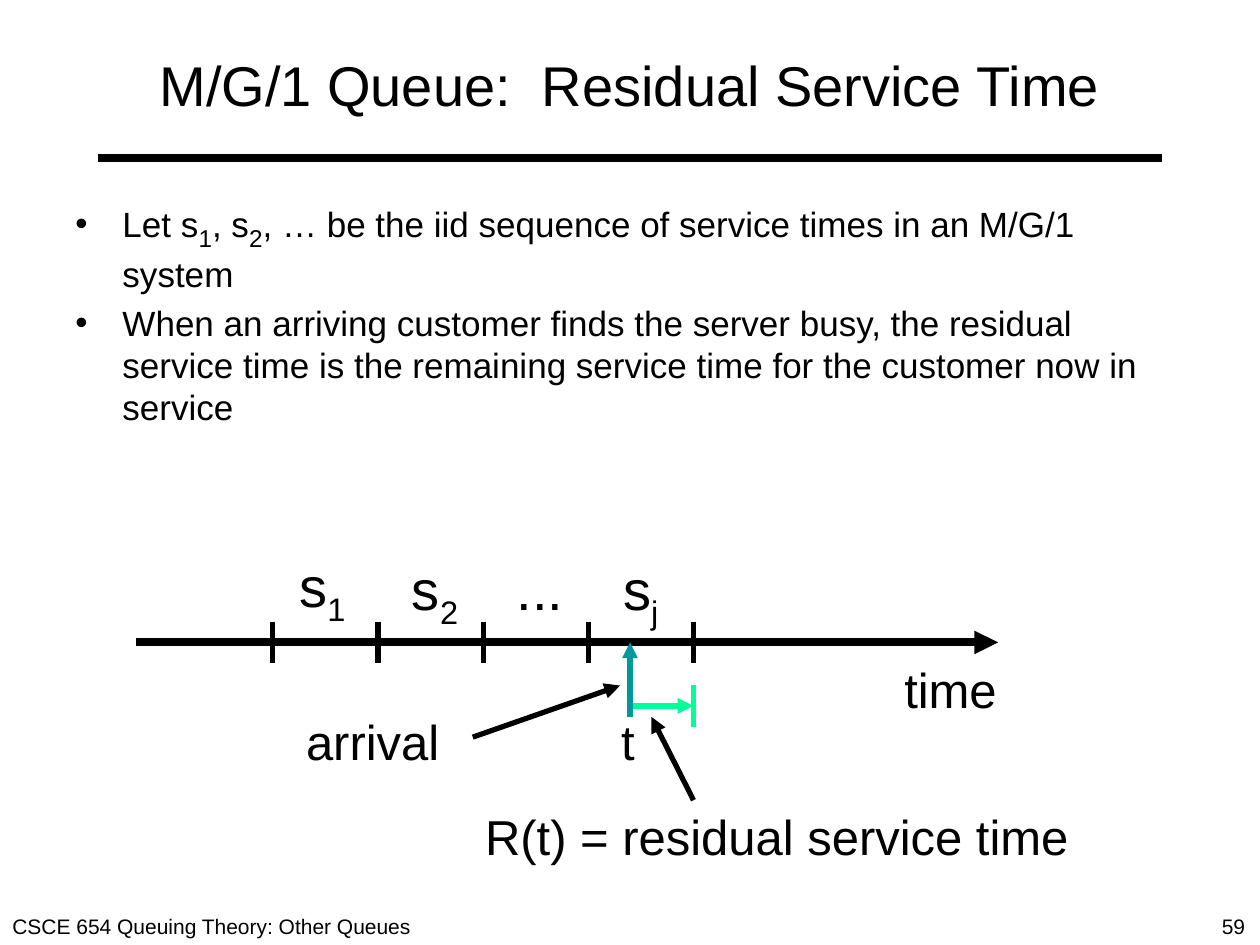
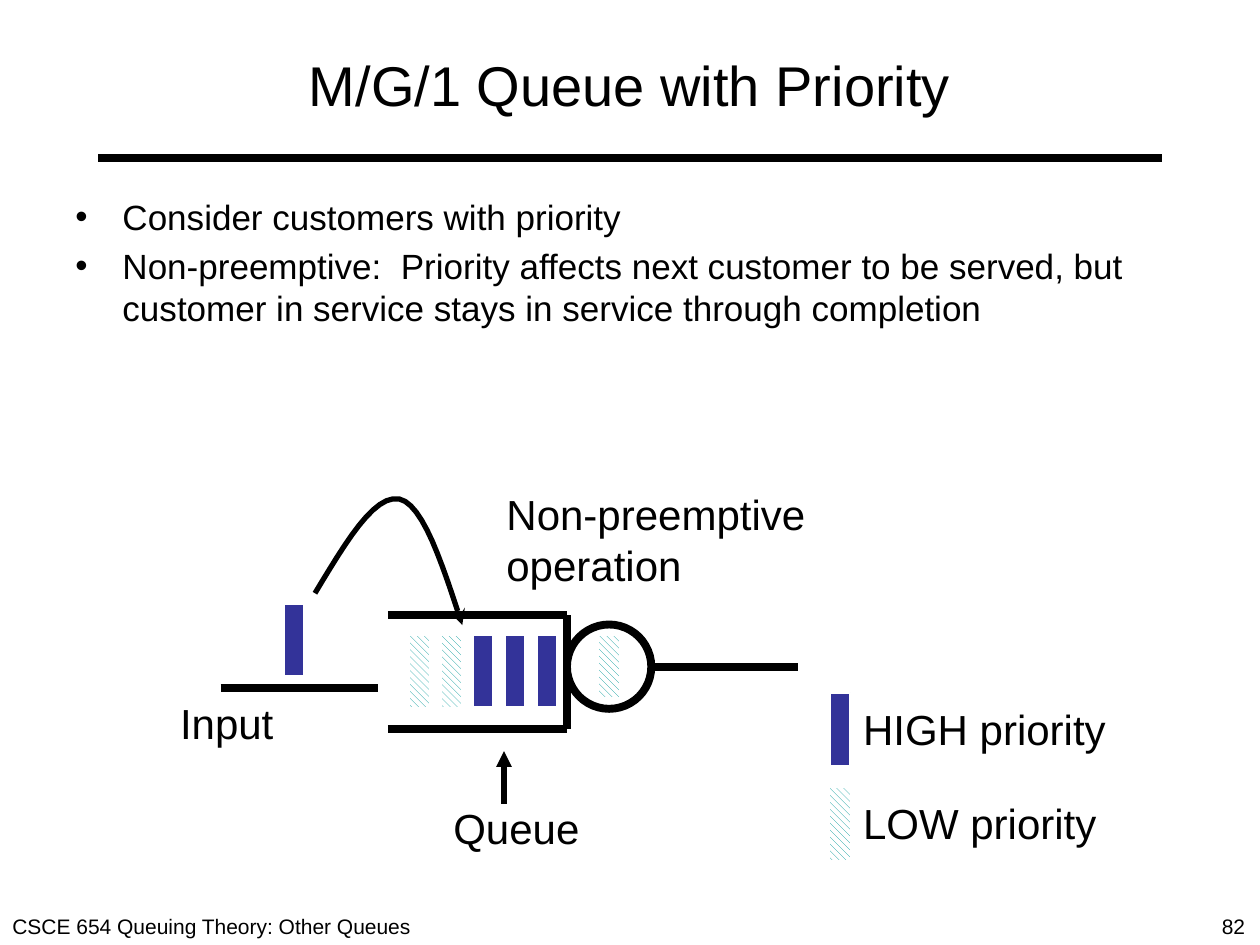
from lxml.etree import SubElement
from pptx import Presentation
from pptx.dml.color import RGBColor
from pptx.enum.dml import MSO_PATTERN
from pptx.enum.shapes import MSO_CONNECTOR, MSO_SHAPE
from pptx.enum.text import MSO_ANCHOR, PP_ALIGN
from pptx.oxml.ns import qn
from pptx.util import Cm, Pt

COLOURS = {
    "ink": "000000",
    "paper": "FFFFFF",
    "residual": "00FF99",
    "teal": "009999",
    "high": "333399",
}
RGB = {role: RGBColor.from_string(code) for role, code in COLOURS.items()}
FONT = "Arial"
THICK, THIN = 4.5, 3


def add_text(slide, text, x, y, w, h, size=28, sub_size=None, align=PP_ALIGN.LEFT,
             anchor=MSO_ANCHOR.TOP, wrap=False, bullets=False):
    """Add a text box; newlines part paragraphs, and _..._ marks a subscript."""
    frame = slide.shapes.add_textbox(Cm(x), Cm(y), Cm(w), Cm(h)).text_frame
    frame.word_wrap = wrap
    frame.vertical_anchor = anchor
    for number, wording in enumerate(text.split("\n")):
        paragraph = frame.add_paragraph() if number else frame.paragraphs[0]
        paragraph.alignment = align
        if bullets:
            paragraph.space_before = Pt(size * 0.2)
            properties = paragraph._p.get_or_add_pPr()
            properties.set("marL", str(Cm(0.95)))
            properties.set("indent", str(-Cm(0.95)))
            SubElement(properties, qn("a:buFont"), typeface=FONT)
            SubElement(properties, qn("a:buChar"), char="•")
        for position, piece in enumerate(wording.split("_")):
            if not piece:
                continue
            run = paragraph.add_run()
            run.text = piece
            run.font.name = FONT
            run.font.size = Pt(size)
            run.font.color.rgb = RGB["ink"]
            if position % 2:
                run.font.size = Pt(sub_size or size)
                run._r.get_or_add_rPr().set("baseline", "-25000")


def add_line(slide, x1, y1, x2, y2, width=THIN, colour="ink", arrow=False):
    line = slide.shapes.add_connector(MSO_CONNECTOR.STRAIGHT, Cm(x1), Cm(y1), Cm(x2), Cm(y2))
    line.line.width = Pt(width)
    line.line.color.rgb = RGB[colour]
    properties = line._element.spPr
    if arrow:
        SubElement(properties.find(qn("a:ln")), qn("a:tailEnd"), type="triangle")
    SubElement(properties, qn("a:effectLst"))


deck = Presentation()
deck.slide_width, deck.slide_height = Cm(25.4), Cm(19.05)

# Title, rule, bullets and footer on both slides
pages = [
    ("59", "M/G/1 Queue:  Residual Service Time",
     "Let s_1_, s_2_, … be the iid sequence of service times in an M/G/1 system\n"
     "When an arriving customer finds the server busy, the residual service time "
     "is the remaining service time for the customer now in service"),
    ("82", "M/G/1 Queue with Priority",
     "Consider customers with priority\n"
     "Non-preemptive:  Priority affects next customer to be served, but customer "
     "in service stays in service through completion"),
]
for page_number, title, points in pages:
    slide = deck.slides.add_slide(deck.slide_layouts[6])
    add_line(slide, 1.98, 3.18, 23.42, 3.18, width=THICK)
    add_text(slide, "CSCE 654 Queuing Theory: Other Queues", 0, 18.29, 10.36, 0.76,
             size=12, wrap=True)
    add_text(slide, page_number, 24.38, 18.29, 1.02, 0.76, size=12)
    add_text(slide, title, 1.27, 0.43, 22.86, 2.54, size=32, align=PP_ALIGN.CENTER,
             anchor=MSO_ANCHOR.MIDDLE, wrap=True)
    add_text(slide, points, 1.27, 3.81, 22.86, 13.21, size=20, sub_size=24,
             wrap=True, bullets=True)
residual, priority = deck.slides

# Residual service time: timeline with service periods
time_y, tick = 12.95, 0.42
first_start, service = 5.5, 2.12
service_end = first_start + 4 * service
add_line(residual, 2.75, time_y, 20.12, time_y, width=THICK, arrow=True)
for period in range(5):
    x = first_start + period * service
    add_line(residual, x, time_y - tick, x, time_y + tick)
for label, x, y, w in [("s_1_", 5.51, 11, 1.98), ("s_2_", 7.82, 11.05, 1.9),
                       ("...", 10.16, 11.05, 1.45), ("s_j_", 11.86, 11.05, 2.11)]:
    add_text(residual, label, x, y, w, 1.6, size=32, align=PP_ALIGN.CENTER)

# Arrival at t and the time left until service ends
arrival_x, left_y = 12.7, 14.23
add_line(residual, arrival_x, left_y, service_end, left_y, colour="residual", arrow=True)
add_line(residual, service_end, left_y - tick, service_end, left_y + tick, colour="residual")
add_line(residual, arrival_x, 14.45, arrival_x, time_y, colour="teal", arrow=True)
add_line(residual, 9.53, 14.86, 12.5, 13.82, arrow=True)
add_line(residual, service_end, 16.13, 13.13, 14.45, arrow=True)
for label, x, y, w in [("time", 17.98, 13.18, 2.39), ("t", 12.27, 14.22, 0.79),
                       ("arrival", 5.92, 14.22, 3.2)]:
    add_text(residual, label, x, y, w, 1.45)
add_text(residual, "R(t) = residual service time", 9.53, 16.13, 13.54, 1.45, wrap=True)

# Priority: input, queue, server and output
queue_left, queue_right, queue_top, queue_bottom = 7.82, 11.43, 12.4, 14.7
server_size, server_y = 1.7, 13.44
for ends in [(4.45, 13.87, 7.62, 13.87),
             (queue_left, queue_top, queue_right, queue_top),
             (queue_left, queue_bottom, queue_right, queue_bottom),
             (queue_right, queue_bottom, queue_right, queue_top),
             (queue_right + server_size, server_y, 16.08, server_y)]:
    add_line(priority, *ends, width=THICK)
server = priority.shapes.add_shape(
    MSO_SHAPE.OVAL, Cm(queue_right), Cm(server_y - server_size / 2),
    Cm(server_size), Cm(server_size))
server.shadow.inherit = False
server.fill.background()
server.line.color.rgb = RGB["ink"]
server.line.width = Pt(THICK)
add_line(priority, 10.16, 16.2, 10.16, 15.14, arrow=True)

# Customers waiting, in service, arriving and in the legend
waiting = [(level, 8.25 + 0.64 * place, 12.8, 1.47)
           for place, level in enumerate(["low", "low", "high", "high", "high"])]
others = [("low", 12.07, 12.8, 1.27), ("high", 5.72, 12.17, 1.47),
          ("high", 16.72, 13.97, 1.47), ("low", 16.72, 15.88, 1.47)]
for level, x, y, h in waiting + others:
    customer = priority.shapes.add_shape(MSO_SHAPE.RECTANGLE, Cm(x), Cm(y), Cm(0.42), Cm(h))
    customer.shadow.inherit = False
    customer.line.color.rgb = RGB["paper"]
    if level == "high":
        customer.fill.solid()
        customer.fill.fore_color.rgb = RGB["high"]
        customer.line.width = Pt(1.5)
    else:
        customer.fill.patterned()
        customer.fill.pattern = MSO_PATTERN.WIDE_DOWNWARD_DIAGONAL
        customer.fill.fore_color.rgb = RGB["teal"]
        customer.fill.back_color.rgb = RGB["paper"]
        customer.line.width = Pt(0.75)

# Path of the arriving customer, sampled from two cubic curves
curves = [((6.35, 11.96), (6.96, 10.95), (7.54, 9.96), (8.05, 10.06)),
          ((8.05, 10.06), (8.53, 10.16), (8.92, 11.38), (9.32, 12.6))]
steps = 12
jump_points = []
for curve in curves:
    for step in range(1, steps + 1):
        t = step / steps
        weights = ((1 - t) ** 3, 3 * t * (1 - t) ** 2, 3 * t ** 2 * (1 - t), t ** 3)
        jump_points.append(tuple(
            Cm(sum(weight * point[axis] for weight, point in zip(weights, curve)))
            for axis in (0, 1)))
start_x, start_y = curves[0][0]
builder = priority.shapes.build_freeform(Cm(start_x), Cm(start_y))
builder.add_line_segments(jump_points, close=False)
jump = builder.convert_to_shape()
jump.shadow.inherit = False
jump.fill.background()
jump.line.color.rgb = RGB["ink"]
jump.line.width = Pt(THIN)
SubElement(jump._element.spPr.find(qn("a:ln")), qn("a:tailEnd"), type="stealth")

for label, x, y, w, h in [("Input", 3.38, 13.94, 2.39, 1.27),
                          ("Non-preemptive\noperation", 9.96, 9.73, 6.55, 2.29),
                          ("Queue", 8.89, 16.05, 3.05, 1.27),
                          ("HIGH priority", 17.15, 14.05, 5.41, 1.27),
                          ("LOW priority", 17.15, 15.95, 5.21, 1.27)]:
    add_text(priority, label, x, y, w, h, size=24)

deck.save("out.pptx")
